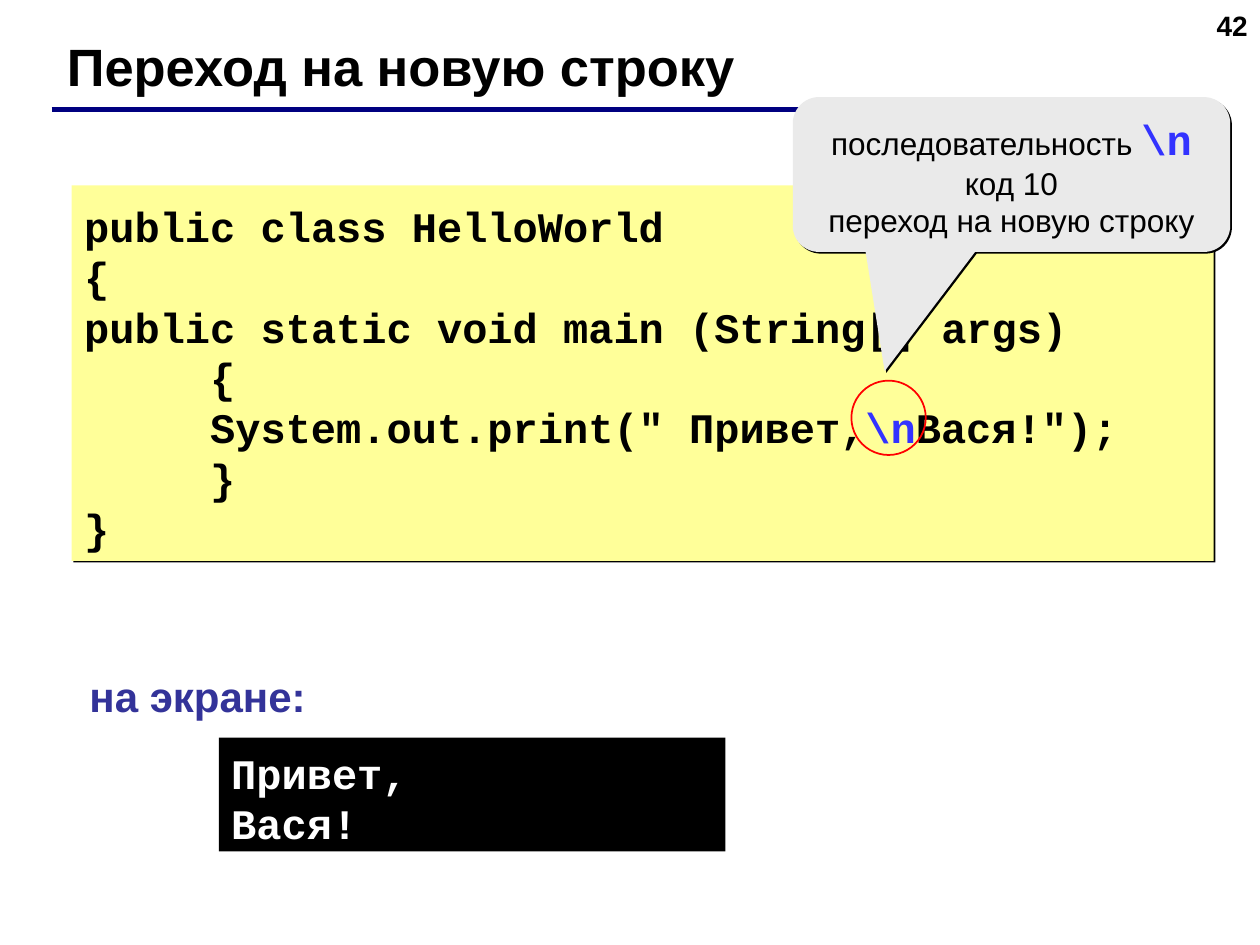
from lxml import etree
from pptx import Presentation
from pptx import util as u
from pptx.dml.color import RGBColor
from pptx.enum import shapes, text
from pptx.oxml import ns

Pt = u.Pt
THEME = {
    "sans": "Arial", "mono": "Courier New",
    "black": "000000", "white": "FFFFFF", "navy": "000080", "label": "333399",
    "escape": "3333FF", "code": "FFFF99", "callout": "EAEAEA", "ring": "FF0000",
    "number_size": 16, "note_size": 18, "code_size": 24, "title_size": 30,
}
LINE_HEIGHT = 1.2
TAB_STOP = Pt(72)


def color(name):
    return RGBColor.from_string(THEME[name])


def write(box, lines, font, size, ink="black", bold=True, align=text.PP_ALIGN.LEFT,
          anchor=text.MSO_ANCHOR.TOP, wrap=True, drop=0):
    """Fill a box; each line is a list of pieces, and \\n pieces are highlighted."""
    frame = box.text_frame
    frame.auto_size = text.MSO_AUTO_SIZE.NONE
    frame.word_wrap = wrap
    frame.vertical_anchor = anchor
    frame.margin_left = frame.margin_right = Pt(7.2)
    frame.margin_top, frame.margin_bottom = Pt(3.6 + drop), Pt(3.6 - drop)
    for index, pieces in enumerate(lines):
        para = frame.paragraphs[0] if index == 0 else frame.add_paragraph()
        para.alignment = align
        para.space_before = para.space_after = Pt(0)
        marked = "\\n" in pieces
        height = THEME["code_size"] if marked else THEME[size]
        para.line_spacing = Pt(height * LINE_HEIGHT)
        if pieces[0].startswith("\t"):
            tabs = etree.SubElement(para._p.get_or_add_pPr(), ns.qn("a:tabLst"))
            etree.SubElement(tabs, ns.qn("a:tab"), pos=str(TAB_STOP), algn="l")
        para.font.name = THEME[font]
        para.font.size = Pt(THEME[size])
        para.font.bold = bold
        para.font.color.rgb = color(ink)
        for piece in pieces:
            span = para.add_run()
            span.text = piece
            # Runs carry the face only where the paragraph mixes styles
            if marked:
                escape = piece == "\\n"
                span.font.name = THEME["mono" if escape else font]
                span.font.size = Pt(THEME["code_size" if escape else size])
                span.font.bold = escape or bold
                span.font.color.rgb = color("escape" if escape else ink)


def add_panel(kind, left, top, width, height, fill, shadow=False):
    """Add a borderless filled shape, with a hard offset shadow if asked."""
    panel = page.shapes.add_shape(kind, Pt(left), Pt(top), Pt(width), Pt(height))
    panel.shadow.inherit = False
    panel.line.fill.background()
    panel.fill.solid()
    panel.fill.fore_color.rgb = color(fill)
    if shadow:
        effects = panel._element.spPr.find(ns.qn("a:effectLst"))
        outer = etree.SubElement(effects, ns.qn("a:outerShdw"), blurRad="0",
                                 dist=str(Pt(1.4)), dir="2700000", algn="ctr", rotWithShape="0")
        etree.SubElement(outer, ns.qn("a:srgbClr"), val=THEME["black"])
    return panel


deck = Presentation()
deck.slide_width, deck.slide_height = Pt(720), Pt(540)
page = deck.slides.add_slide(deck.slide_layouts[5])

# Title
title = page.shapes.title
title.left, title.top, title.width, title.height = Pt(31), Pt(15), Pt(641), Pt(43)
write(title, [["Переход на новую строку"]], "sans", "title_size", drop=1)

# Page number
number = page.shapes.add_textbox(Pt(552), Pt(0), Pt(168), Pt(37.5))
write(number, [["42"]], "sans", "number_size", align=text.PP_ALIGN.RIGHT, drop=1)

# Rule under the title
rule = page.shapes.add_connector(shapes.MSO_CONNECTOR.STRAIGHT,
                                 Pt(29.5), Pt(62.5), Pt(696), Pt(62.5))
rule.line.color.rgb = color("navy")
rule.line.width = Pt(3)
etree.SubElement(rule._element.spPr, ns.qn("a:effectLst"))

# Program listing
code = add_panel(shapes.MSO_SHAPE.RECTANGLE, 41, 106, 652.5, 214.5, "code", shadow=True)
write(code, [
    ["public class HelloWorld"],
    ["{"],
    ["public static void main (String[] args)"],
    ["\t{"],
    ["\tSystem.out.print(\" Привет,", "\\n", "Вася!\");"],
    ["\t}"],
    ["}"],
], "mono", "code_size", anchor=text.MSO_ANCHOR.MIDDLE, wrap=False, drop=2)

# Screen output and its label
screen = add_panel(shapes.MSO_SHAPE.RECTANGLE, 125, 421.5, 289.5, 65, "black")
write(screen, [["Привет,"], ["Вася!"]], "mono", "code_size", ink="white", drop=2)
label = page.shapes.add_textbox(Pt(44), Pt(378.5), Pt(137.5), Pt(36))
write(label, [["на экране:"]], "sans", "code_size", ink="label", wrap=False, drop=1)

# Callout explaining the escape sequence
callout = add_panel(shapes.MSO_SHAPE.ROUNDED_RECTANGULAR_CALLOUT,
                    453, 55.5, 250, 88.5, "callout", shadow=True)
for index, value in enumerate((-0.29, 1.27, 0.17)):
    callout.adjustments[index] = value
write(callout, [
    ["последовательность ", "\\n"],
    ["код 10"],
    ["переход на новую строку"],
], "sans", "note_size", bold=False, align=text.PP_ALIGN.CENTER,
    anchor=text.MSO_ANCHOR.MIDDLE, drop=1)

# Ring around the escape sequence
ring = page.shapes.add_shape(shapes.MSO_SHAPE.OVAL, Pt(486.5), Pt(217.5), Pt(42.5), Pt(42.5))
ring.shadow.inherit = False
ring.fill.background()
ring.line.color.rgb = color("ring")
ring.line.width = Pt(1)

deck.save("out.pptx")
